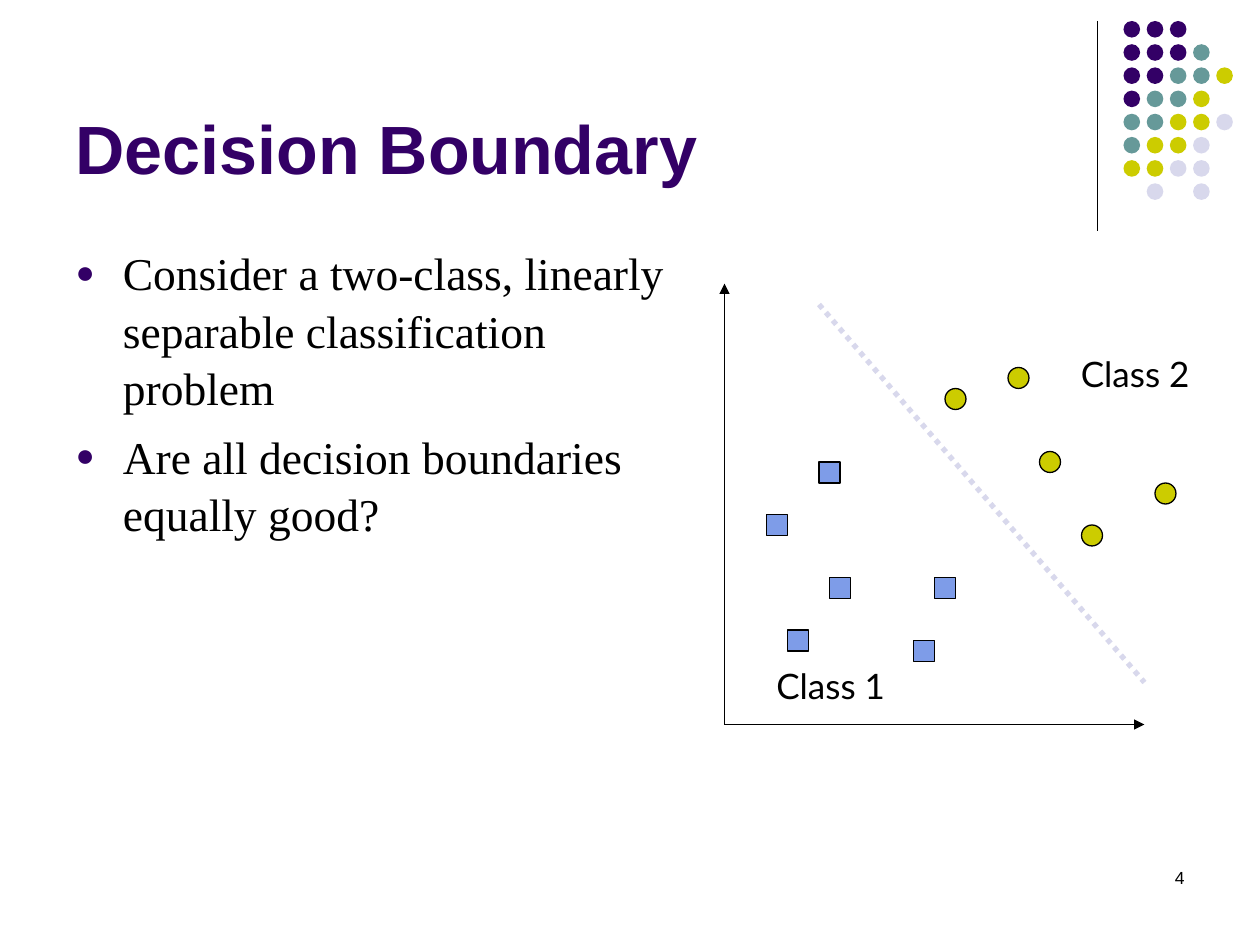
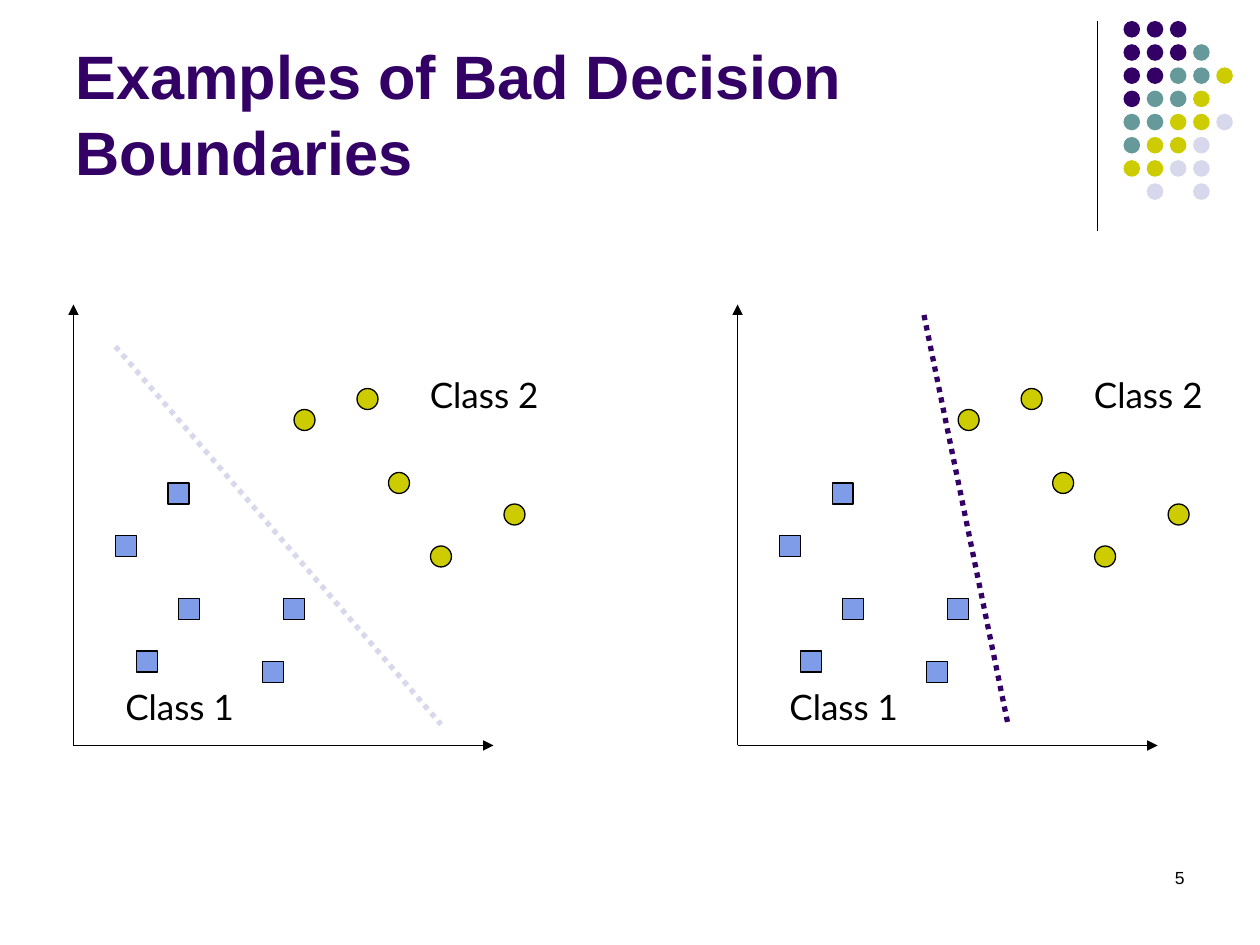
from lxml.etree import SubElement
from pptx import Presentation
from pptx.dml.color import RGBColor
from pptx.enum.dml import MSO_LINE
from pptx.enum.shapes import MSO_CONNECTOR, MSO_SHAPE
from pptx.enum.text import MSO_ANCHOR, MSO_AUTO_SIZE, PP_ALIGN
from pptx.oxml.ns import qn
from pptx.util import Pt

# Shared palette
PURPLE, TEAL, OLIVE, PALE = "330066", "669999", "CCCC00", "D8D8EC"
BLUE, BLACK = "7E9CE8", "000000"

# Corner dots: one string per row, one letter per colour
DOTS = ["PPP", "PPPT", "PPTTO", "PTTO", "TTOOL", "TOOL", "OOLL", " L L"]
INKS = {"P": PURPLE, "T": TEAL, "O": OLIVE, "L": PALE}

# Data marks: left and top, in steps of 6 pt from the plot origin
STEP = 6
CLASS_1 = [(4, -20), (20, -14), (18, -8), (10, -14), (6, -9), (9, -25)]
CLASS_2 = [(27, -34), (30, -26), (41, -23), (21, -32), (34, -19)]


def paint(color, ink):
    color.rgb = RGBColor.from_string(ink)


def style(para, font, size, ink, bold=False):
    para.font.name = font
    para.font.size = Pt(size)
    para.font.bold = bold
    paint(para.font.color, ink)


def place(shape, left, top, width, height):
    shape.left, shape.top = Pt(left), Pt(top)
    shape.width, shape.height = Pt(width), Pt(height)


def add_mark(slide, kind, left, top, size, ink, edge=True):
    mark = slide.shapes.add_shape(kind, Pt(left), Pt(top), Pt(size), Pt(size))
    mark.shadow.inherit = False
    mark.fill.solid()
    paint(mark.fill.fore_color, ink)
    if edge:
        paint(mark.line.color, BLACK)
        mark.line.width = Pt(0.75)
    else:
        mark.line.fill.background()


def add_line(slide, start, end, ink, width, arrow=False, dash=None):
    line = slide.shapes.add_connector(
        MSO_CONNECTOR.STRAIGHT, *(Pt(n) for n in (*start, *end)))
    paint(line.line.color, ink)
    line.line.width = Pt(width)
    if dash:
        line.line.dash_style = dash
    props = line._element.spPr
    if arrow:
        SubElement(props.find(qn("a:ln")), qn("a:tailEnd"), type="triangle")
    SubElement(props, qn("a:effectLst"))


def add_text(slide, text, left, top, width, height, font, size):
    box = slide.shapes.add_textbox(Pt(left), Pt(top), Pt(width), Pt(height))
    box.text_frame.text = text
    box.text_frame.word_wrap = True
    style(box.text_frame.paragraphs[0], font, size, BLACK)
    return box.text_frame


def add_label(slide, text, left, top):
    frame = add_text(slide, text, left, top, 79, 32, "Lato", 20)
    frame.word_wrap = False
    frame.auto_size = MSO_AUTO_SIZE.SHAPE_TO_FIT_TEXT


def add_slide(deck, layout, title, size, number):
    slide = deck.slides.add_slide(deck.slide_layouts[layout])

    # Corner rule and dots
    add_line(slide, (627, 12), (627, 132), BLACK, 0.75)
    for row, inks in enumerate(DOTS):
        for col, key in enumerate(inks):
            if key in INKS:
                add_mark(slide, MSO_SHAPE.OVAL, 642 + 13.25 * col,
                         12 + 13.25 * row, 9.5, INKS[key], edge=False)

    # Title
    head = slide.shapes.title
    place(head, 36, 9, 594, 102)
    frame = head.text_frame
    frame.text = title
    frame.vertical_anchor = MSO_ANCHOR.BOTTOM
    frame.auto_size = MSO_AUTO_SIZE.NONE
    para = frame.paragraphs[0]
    para.alignment = PP_ALIGN.LEFT
    para.line_spacing = 1.04
    style(para, "Arial", size, PURPLE, bold=True)

    # Page number
    foot = add_text(slide, str(number), 516, 492, 168, 36, "Arial", 10)
    foot.paragraphs[0].alignment = PP_ALIGN.RIGHT
    return slide


def add_bullet(para):
    props = para._p.get_or_add_pPr()
    props.set("marL", str(Pt(27)))
    props.set("indent", str(Pt(-27)))
    SubElement(SubElement(props, qn("a:buClr")), qn("a:srgbClr"), val=PURPLE)
    SubElement(props, qn("a:buSzPct"), val="70000")
    SubElement(props, qn("a:buFont"), typeface="Arial")
    SubElement(props, qn("a:buChar"), char="●")


def fill_list(body, items):
    place(body, 36, 135, 362, 347)
    frame = body.text_frame
    frame.auto_size = MSO_AUTO_SIZE.NONE
    for i, item in enumerate(items):
        para = frame.add_paragraph() if i else frame.paragraphs[0]
        para.text = item
        add_bullet(para)
        para.line_spacing = 1.05
        para.space_before = Pt(6.5 if i else 0)
        style(para, "Times New Roman", 26, BLACK)


def add_plot(slide, left, base, start, end, ink):
    """Draw both classes and a boundary; start and end are from the origin."""
    # Axes
    for tip in ((left, base - 252), (left + 240, base)):
        add_line(slide, (left, base), tip, BLACK, 1, arrow=True)

    # Data marks
    for kind, spots, fill in ((MSO_SHAPE.OVAL, CLASS_2, OLIVE),
                              (MSO_SHAPE.RECTANGLE, CLASS_1, BLUE)):
        for x, y in spots:
            add_mark(slide, kind, left + STEP * x, base + STEP * y, 12, fill)

    # Labels and boundary
    add_label(slide, "Class 1", left + 22.5, base - 38)
    add_label(slide, "Class 2", left + 196.5, base - 216)
    ends = [(left + x, base + y) for x, y in (start, end)]
    add_line(slide, *ends, ink, 3, dash=MSO_LINE.ROUND_DOT)


def main():
    deck = Presentation()
    deck.slide_width, deck.slide_height = Pt(720), Pt(540)

    # Decision boundary
    slide = add_slide(deck, 1, "Decision Boundary", 39, 4)
    fill_list(slide.placeholders[1], [
        "Consider a two-class, linearly separable classification problem",
        "Are all decision boundaries equally good?",
    ])
    add_plot(slide, 414, 414, (54, -240), (240, -24), PALE)

    # Bad boundaries
    slide = add_slide(deck, 5, "Examples of Bad Decision Boundaries", 35, 5)
    add_plot(slide, 42, 426, (24, -228), (210, -12), PALE)
    add_plot(slide, 421.5, 426, (106.5, -246), (154.5, -12), PURPLE)

    deck.save("out.pptx")


if __name__ == "__main__":
    main()
